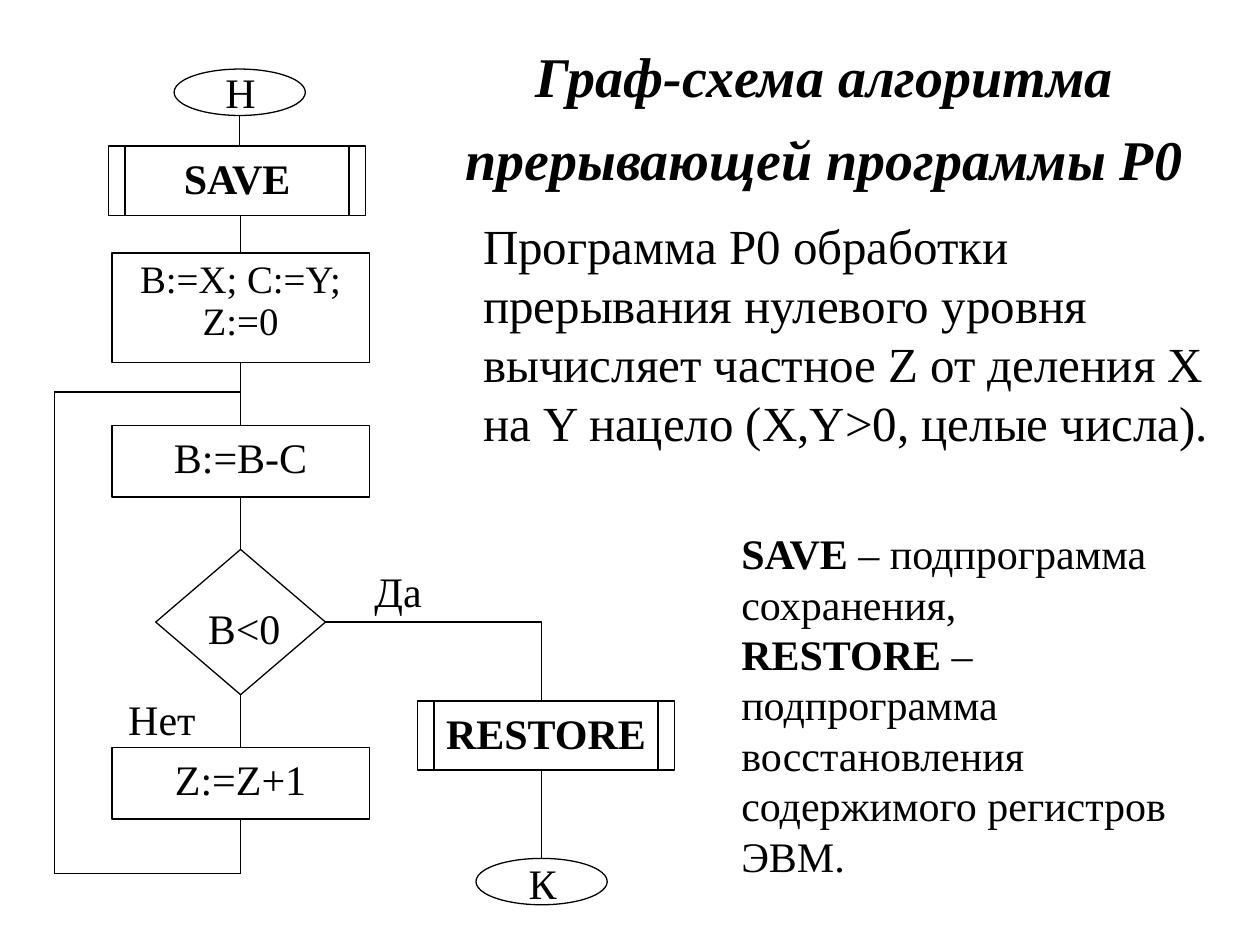
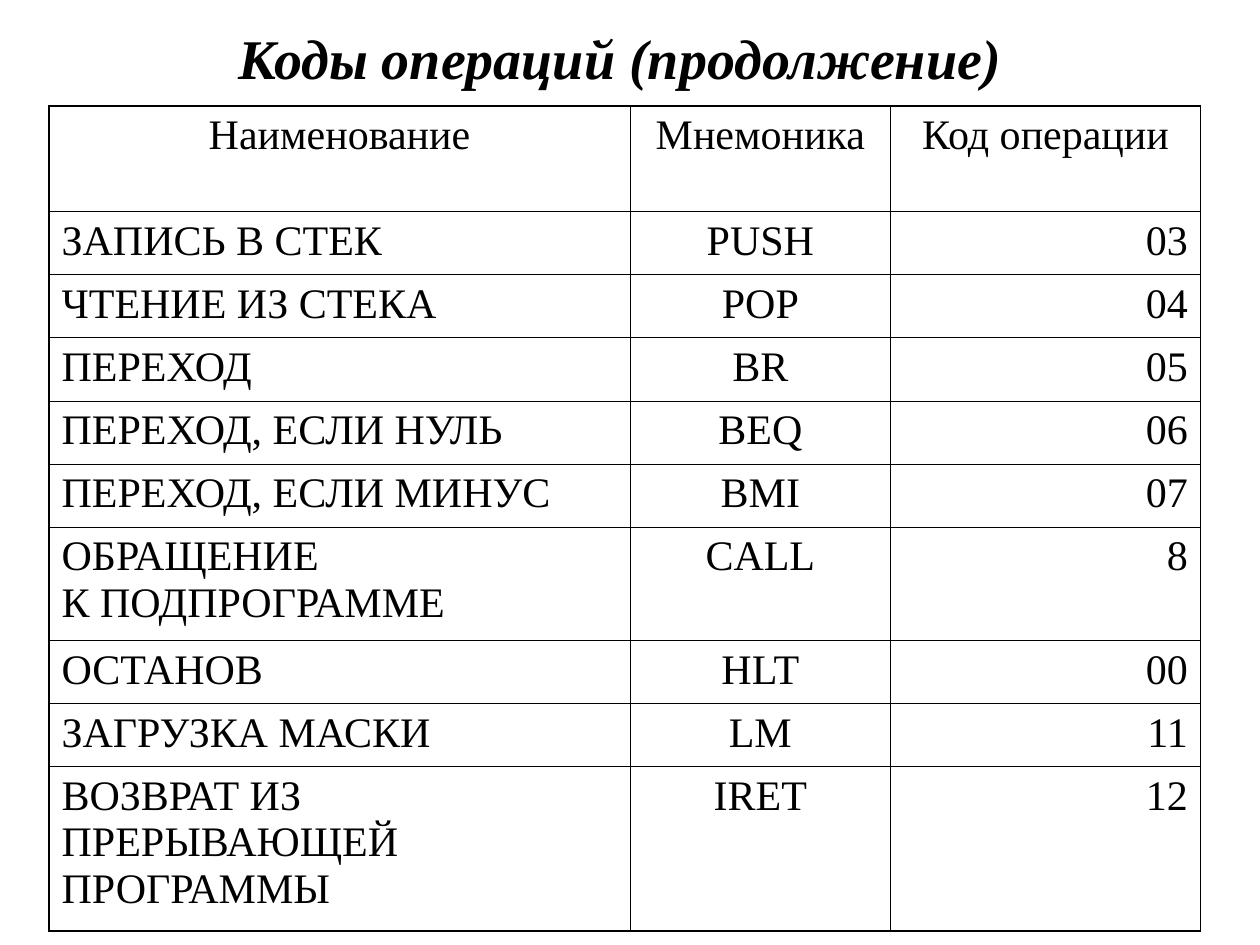
from dataclasses import dataclass
from typing import Optional

from lxml.etree import SubElement
from pptx import Presentation
from pptx.dml.color import RGBColor
from pptx.enum.shapes import MSO_CONNECTOR, MSO_SHAPE as SHAPE
from pptx.enum.text import MSO_ANCHOR as ANCHOR, PP_ALIGN as ALIGN
from pptx.oxml import parse_xml
from pptx.oxml.ns import nsdecls, qn
from pptx.util import Pt

BLACK = RGBColor(0x00, 0x00, 0x00)
FONT = "Times New Roman"
NBSP = chr(160)
TOP, LEFT, BOTTOM, RIGHT = range(4)
LINE_W, OUTER_W, INNER_W = 0.75, 1.08, 0.45
INSET_X, INSET_Y = 7.2, 3.6
AXIS, BRANCH, LOOP = 137.5, 309.5, 31
BOX_W, CALL_H, STEP_H = 147, 39.5, 41
TITLE = {"size": Pt(32), "bold": True, "italic": True}
TEXT = {"size": Pt(24)}
STRONG = {"size": Pt(24), "bold": True}


@dataclass
class Block:
    name: str
    kind: SHAPE
    x: float
    y: float
    w: float
    h: float
    lines: tuple[str, ...] = ()
    size: float = 24
    pitch: float = 28.8
    call: bool = False


@dataclass
class Label:
    text: str
    x: float
    y: float


@dataclass
class Link:
    start: tuple[float, float]
    end: tuple[float, float]
    source: Optional[tuple[str, int]] = None
    target: Optional[tuple[str, int]] = None


BLOCKS = [
    Block("start", SHAPE.OVAL, 99.5, 39.5, 75, 26.5),
    Block("save", SHAPE.RECTANGLE, 62, 83.5, BOX_W, CALL_H, ("SAVE",), call=True),
    Block("init", SHAPE.RECTANGLE, 64, 144.5, BOX_W, 62.5,
          ("B:=X; C:=Y;", "Z:=0"), 22.2, 24),
    Block("subtract", SHAPE.RECTANGLE, 64, 243, BOX_W, STEP_H, ("B:=B-C",)),
    Block("test", SHAPE.DIAMOND, 89, 314, 97, 83),
    Block("count", SHAPE.RECTANGLE, 64, 427, BOX_W, STEP_H, ("Z:=Z+1",)),
    Block("restore", SHAPE.RECTANGLE, 238.5, 400.5, BOX_W, CALL_H, ("RESTORE",), call=True),
    Block("finish", SHAPE.OVAL, 272, 490.5, 75, 26.5),
]
LABELS = [
    Label("Н", 88, 34.5),
    Label("B<0", 90, 340.5),
    Label("Да", 178, 319.5),
    Label("Нет", 43, 392.5),
    Label("К", 260.5, 486.5),
]
LINKS = [
    Link((137, 66), (137, 83.5)),
    Link((AXIS, 123), (AXIS, 144.5), target=("init", TOP)),
    Link((AXIS, 207), (AXIS, 243), ("init", BOTTOM), ("subtract", TOP)),
    Link((AXIS, 284), (AXIS, 314), ("subtract", BOTTOM), ("test", TOP)),
    Link((AXIS, 397), (AXIS, 427), ("test", BOTTOM), ("count", TOP)),
    Link((AXIS, 468), (AXIS, 499), ("count", BOTTOM)),
    Link((AXIS, 499), (LOOP, 499)),
    Link((LOOP, 499), (LOOP, 224)),
    Link((LOOP, 224), (AXIS, 224)),
    Link((186, 355.5), (BRANCH, 355.5), ("test", RIGHT)),
    Link((BRANCH, 355.5), (BRANCH, 400.5)),
    Link((BRANCH, 440), (BRANCH, 490.5), target=("finish", TOP)),
]

COLUMNS = [(332, ALIGN.LEFT), (149, ALIGN.CENTER), (177, ALIGN.RIGHT)]
HEADER_H, ROW_H = 60.5, 36
TALL_ROWS = {6: 65, 9: 94}
OPERATIONS = [
    ("Наименование", "Мнемоника", "Код операции"),
    ("ЗАПИСЬ В СТЕК", "PUSH", "03"),
    ("ЧТЕНИЕ ИЗ СТЕКА", "POP", "04"),
    ("ПЕРЕХОД", "BR", "05"),
    ("ПЕРЕХОД, ЕСЛИ НУЛЬ", "BEQ", "06"),
    ("ПЕРЕХОД, ЕСЛИ МИНУС", "BMI", "07"),
    ("ОБРАЩЕНИЕ\nК ПОДПРОГРАММЕ", "CALL", "8"),
    ("ОСТАНОВ", "HLT", "00"),
    ("ЗАГРУЗКА МАСКИ", "LM", "11"),
    ("ВОЗВРАТ ИЗ\nПРЕРЫВАЮЩЕЙ ПРОГРАММЫ", "IRET", "12"),
]


def style_font(font, values: dict) -> None:
    for key, value in {"name": FONT, **values}.items():
        setattr(font, key, value)
    font.color.rgb = BLACK


def fill_paragraph(p, runs, align=ALIGN.LEFT, pitch: Optional[float] = None) -> None:
    p.alignment = align
    if pitch:
        p.line_spacing = Pt(pitch)
    for text, values in runs:
        r = p.add_run()
        r.text = text
        style_font(r.font, values)


def set_frame(tf, anchor=ANCHOR.TOP, bottom: float = INSET_Y) -> None:
    frame = {"word_wrap": True, "vertical_anchor": anchor,
             "margin_left": Pt(INSET_X), "margin_right": Pt(INSET_X),
             "margin_top": Pt(INSET_Y), "margin_bottom": Pt(bottom)}
    for key, value in frame.items():
        setattr(tf, key, value)


def add_text(s, x: float, y: float, w: float, h: float, runs, align=ALIGN.LEFT,
             pitch: Optional[float] = None, anchor=ANCHOR.TOP, bottom: float = INSET_Y) -> None:
    tf = s.shapes.add_textbox(Pt(x), Pt(y), Pt(w), Pt(h)).text_frame
    set_frame(tf, anchor, bottom)
    fill_paragraph(tf.paragraphs[0], runs, align, pitch)


def add_title(s, text: str, x: float, y: float, w: float, h: float,
              pitch: Optional[float] = None, bottom: float = INSET_Y) -> None:
    add_text(s, x, y, w, h, [(text, TITLE)], ALIGN.CENTER, pitch, ANCHOR.MIDDLE, bottom)


def add_line(s, start: tuple[float, float], end: tuple[float, float]):
    line = s.shapes.add_connector(MSO_CONNECTOR.STRAIGHT, *map(Pt, start + end))
    line.line.color.rgb = BLACK
    line.line.width = Pt(LINE_W)
    SubElement(line._element.spPr, qn("a:effectLst"))
    return line


def add_block(s, b: Block):
    sp = s.shapes.add_shape(b.kind, Pt(b.x), Pt(b.y), Pt(b.w), Pt(b.h))
    sp.shadow.inherit = False
    sp.fill.background()
    sp.line.color.rgb = BLACK
    sp.line.width = Pt(LINE_W)
    tf = sp.text_frame
    set_frame(tf)
    for i, text in enumerate(b.lines):
        p = tf.add_paragraph() if i else tf.paragraphs[0]
        values = {"size": Pt(b.size), "bold": b.call}
        fill_paragraph(p, [(text, values)], ALIGN.CENTER, b.pitch)
    if b.call:
        for x in (b.x + 9.5, b.x + b.w - 9.5):
            add_line(s, (x, b.y), (x, b.y + b.h))
    return sp


def add_link(s, link: Link, shapes: dict) -> None:
    line = add_line(s, link.start, link.end)
    for joint, connect in ((link.source, line.begin_connect), (link.target, line.end_connect)):
        if joint:
            name, side = joint
            connect(shapes[name], side)


def set_borders(cell, left: float, right: float, top: float, bottom: float) -> None:
    tcPr = cell._tc.get_or_add_tcPr()
    for i, (side, width) in enumerate(zip("LRTB", (left, right, top, bottom))):
        tcPr.insert(i, parse_xml(
            f'<a:ln{side} {nsdecls("a")} w="{Pt(width)}"><a:solidFill>'
            f'<a:srgbClr val="{BLACK}"/></a:solidFill></a:ln{side}>'))


def add_operations(s, x: float, y: float) -> None:
    heights = [TALL_ROWS.get(i, ROW_H) if i else HEADER_H for i in range(len(OPERATIONS))]
    width = sum(w for w, _ in COLUMNS)
    frame = s.shapes.add_table(len(OPERATIONS), len(COLUMNS),
                               Pt(x), Pt(y), Pt(width), Pt(sum(heights)))
    table = frame.table
    last_row, last_col = len(OPERATIONS) - 1, len(COLUMNS) - 1
    for col, (w, _) in zip(table.columns, COLUMNS):
        col.width = Pt(w)
    for i, (row, height) in enumerate(zip(OPERATIONS, heights)):
        table.rows[i].height = Pt(height)
        for j, text in enumerate(row):
            cell = table.cell(i, j)
            cell.fill.background()
            edges = (j == 0, j == last_col, i == 0, i == last_row)
            set_borders(cell, *(OUTER_W if edge else INNER_W for edge in edges))
            p = cell.text_frame.paragraphs[0]
            p.text = text
            p.alignment = COLUMNS[j][1] if i else ALIGN.CENTER
            for r in p.runs:
                style_font(r.font, {**TEXT, "bold": False})


def build_flowchart(s) -> None:
    add_title(s, "Граф-схема алгоритма прерывающей программы P0",
              235.5, 21.5, 471, 90, pitch=47, bottom=12)
    shapes = {b.name: add_block(s, b) for b in BLOCKS}
    for link in LINKS:
        add_link(s, link, shapes)
    for label in LABELS:
        add_text(s, label.x, label.y, 99, 36, [(label.text, TEXT)], ALIGN.CENTER, 28.8)
    add_text(s, 269, 119.5, 439.5, 142, [(
        "Программа P0 обработки прерывания нулевого уровня вычисляет частное Z "
        "от деления X на Y нацело (X,Y>0, целые числа).", {"size": Pt(28)})], pitch=33.7)
    add_text(s, 416.5, 298, 264, 209, [
        ("SAVE", STRONG),
        (f"{NBSP}– подпрограмма сохранения, ", TEXT),
        ("RESTORE", STRONG),
        (f"{NBSP}– подпрограмма восстановления содержимого регистров ЭВМ.", TEXT),
    ], pitch=28.8)


def build_operations(s) -> None:
    add_title(s, "Коды операций (продолжение)", 0, 9.5, 708.5, 46)
    add_operations(s, 28, 60.5)


def main() -> None:
    prs = Presentation()
    prs.slide_width, prs.slide_height = Pt(720), Pt(540)
    for build in (build_flowchart, build_operations):
        build(prs.slides.add_slide(prs.slide_layouts[6]))
    prs.save("out.pptx")


if __name__ == "__main__":
    main()
